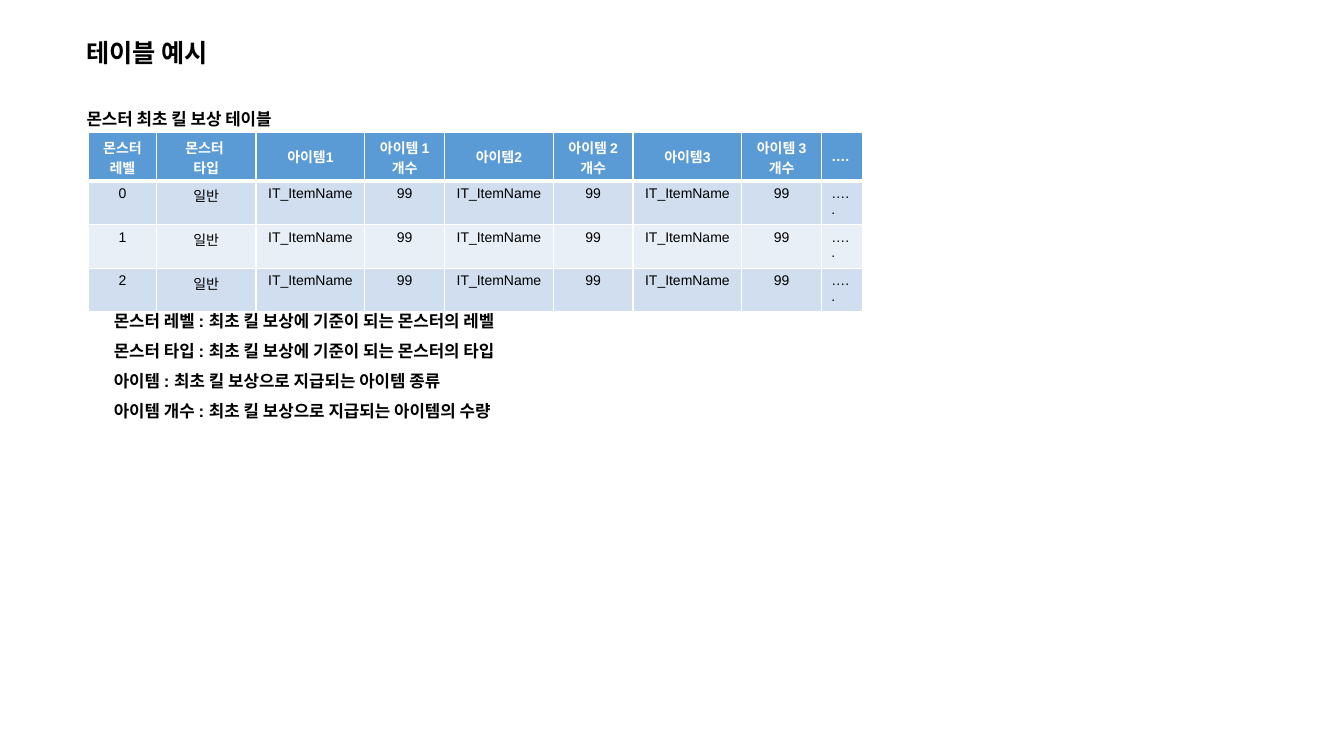
import pptx
import pptx.dml.color
import pptx.enum.text
import pptx.oxml
import pptx.oxml.ns
import pptx.util

COLORS = {"ink": "000000", "white": "FFFFFF", "head": "5B9BD5",
          "odd": "D0DEEF", "even": "E9EFF7"}
ITEM_COUNT = 3
COL_WIDTHS = [4.02, 5.94] + [6.48, 4.74] * ITEM_COUNT + [2.46]
ROW_HEIGHTS = [2.9] + [2.48] * 3
HEADER = ["몬스터\n레벨", "몬스터 \n타입"]
for n in range(1, ITEM_COUNT + 1):
    HEADER += [f"아이템{n}", f"아이템 {n}\n개수"]
HEADER.append("….")
REWARDS = [[str(level), "일반"] + ["IT_ItemName", "99"] * ITEM_COUNT + ["….."]
           for level in range(3)]
NOTES = """몬스터 레벨 : 최초 킬 보상에 기준이 되는 몬스터의 레벨
몬스터 타입 : 최초 킬 보상에 기준이 되는 몬스터의 타입
아이템 : 최초 킬 보상으로 지급되는 아이템 종류
아이템 개수 : 최초 킬 보상으로 지급되는 아이템의 수량"""


class Deck:
    """Draws styled elements on a slide grid of 80 columns by 45 rows."""

    def __init__(self, font="Arial"):
        self.font = font
        self.prs = pptx.Presentation()
        self.prs.slide_width = pptx.util.Inches(13.33)
        self.prs.slide_height = pptx.util.Inches(7.5)
        self.s = self.prs.slides.add_slide(self.prs.slide_layouts[6])

    def x(self, cols):
        return round(self.prs.slide_width * cols / 80)

    def y(self, rows):
        return round(self.prs.slide_height * rows / 45)

    def fill_text(self, tf, text, size, color, bold, align=None, spacing=None):
        tf.text = text
        for p in tf.paragraphs:
            p.alignment = align
            p.line_spacing = spacing
            p.font.name = self.font
            p.font.size = pptx.util.Pt(size)
            p.font.bold = bold
            p.font.color.rgb = pptx.dml.color.RGBColor.from_string(COLORS[color])

    def text(self, left, top, width, height, text, size, spacing=None, wrap=True):
        sp = self.s.shapes.add_textbox(self.x(left), self.y(top),
                                       self.x(width), self.y(height))
        sp.text_frame.word_wrap = wrap
        self.fill_text(sp.text_frame, text, size, "ink", True, spacing=spacing)

    def borders(self, cell, top, bottom):
        tc_pr = cell._tc.get_or_add_tcPr()
        for side, points in (("L", 1), ("R", 1), ("T", top), ("B", bottom)):
            tc_pr.append(pptx.oxml.parse_xml(
                f'<a:ln{side} {pptx.oxml.ns.nsdecls("a")} w="{pptx.util.Pt(points)}">'
                f'<a:solidFill><a:srgbClr val="{COLORS["white"]}"/></a:solidFill>'
                f'</a:ln{side}>'))

    def table(self, left, top, widths, heights, rows, size):
        table = self.s.shapes.add_table(
            len(rows), len(widths), self.x(left), self.y(top),
            self.x(sum(widths)), self.y(sum(heights))).table
        for column, width in zip(table.columns, widths):
            column.width = self.x(width)
        for i, (height, values) in enumerate(zip(heights, rows)):
            table.rows[i].height = self.y(height)
            head = i == 0
            fill = "head" if head else ("odd" if i % 2 else "even")
            for j, value in enumerate(values):
                cell = table.cell(i, j)
                self.borders(cell, 3 if i == 1 else 1, 3 if head else 1)
                cell.fill.solid()
                cell.fill.fore_color.rgb = pptx.dml.color.RGBColor.from_string(COLORS[fill])
                if head:
                    cell.vertical_anchor = pptx.enum.text.MSO_ANCHOR.MIDDLE
                align = (pptx.enum.text.PP_ALIGN.LEFT if j == len(values) - 1
                         else pptx.enum.text.PP_ALIGN.CENTER)
                self.fill_text(cell.text_frame, value, size,
                               "white" if head else "ink", head, align)


def main():
    deck = Deck()
    deck.text(4.56, 1.92, 9.3, 2.4, "테이블 예시", 18, wrap=False)
    deck.text(4.56, 5.58, 73.32, 2.16, "몬스터 최초 킬 보상 테이블", 12, 1.5)
    deck.table(5.28, 7.86, COL_WIDTHS, ROW_HEIGHTS, [HEADER] + REWARDS, 10)
    deck.text(6.18, 17.58, 73.32, 7.86, NOTES, 12, 1.5)
    deck.prs.save("out.pptx")


if __name__ == "__main__":
    main()
